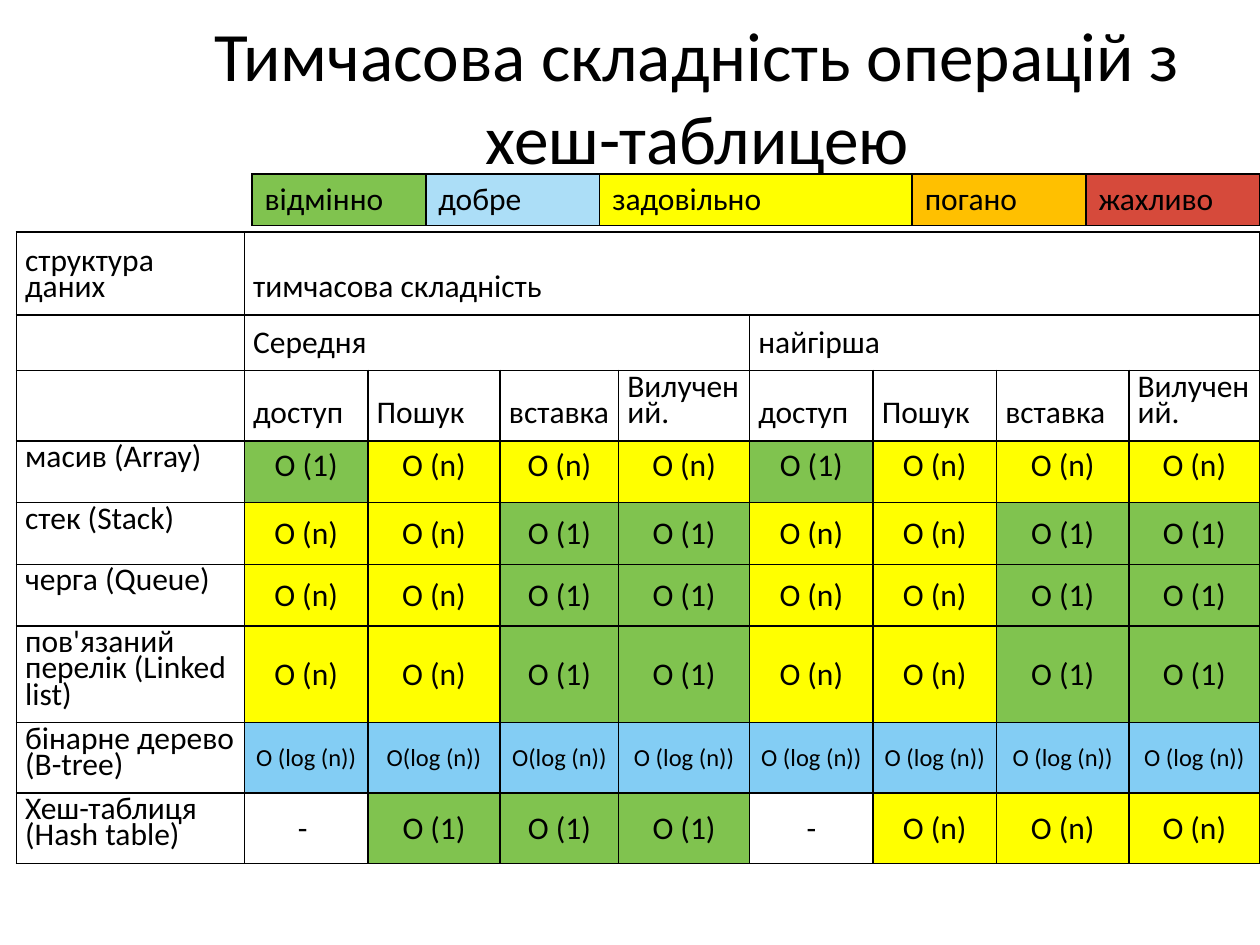
import dataclasses

import lxml.etree
import pptx
import pptx.dml.color
import pptx.enum.text
import pptx.oxml.ns
import pptx.util

Inches = pptx.util.Inches
Anchor = pptx.enum.text.MSO_ANCHOR
Align = pptx.enum.text.PP_ALIGN


@dataclasses.dataclass(frozen=True)
class Theme:
    """Colours, font and type sizes of the slide."""
    font: str = "Calibri"
    ink: str = "000000"
    white: str = "FFFFFF"
    excellent: str = "80C34F"
    good: str = "ACDEF7"
    logarithmic: str = "83CDF4"
    fair: str = "FFFF00"
    bad: str = "FFC000"
    awful: str = "D64A3B"
    title_size: float = 39.6
    body_size: float = 18
    small_size: float = 14
    tight_line: float = 15
    border: float = 1


THEME = Theme()
TITLE = "Тимчасова складність операцій з хеш-таблицею"
LEGEND = [
    ("відмінно", THEME.excellent, 1.38),
    ("добре", THEME.good, 1.38),
    ("задовільно", THEME.fair, 2.48),
    ("погано", THEME.bad, 1.38),
    ("жахливо", THEME.awful, 1.38),
]
OPERATIONS = ["доступ", "Пошук", "вставка", "Вилучений."]
COLUMN_WIDTHS = [1.81, 0.98, 1.05, 0.94, 1.04, 0.98, 0.98, 1.05, 1.04]
ROW_HEIGHTS = [0.66, 0.44, 0.56, 0.49, 0.49, 0.49, 0.76, 0.56, 0.56]
CONSTANT, LINEAR = "O (1)", "O (n)"
LOG, LOG_CLOSE = "O (log (n))", "O(log (n))"
STACK_LIKE = [LINEAR, LINEAR, CONSTANT, CONSTANT] * 2
STRUCTURES = [
    ("масив (Array)", [CONSTANT, LINEAR, LINEAR, LINEAR] * 2),
    ("стек (Stack)", STACK_LIKE),
    ("черга (Queue)", STACK_LIKE),
    ("пов'язаний перелік (Linked list)", STACK_LIKE),
    ("бінарне дерево \n(B-tree)", [LOG, LOG_CLOSE, LOG_CLOSE] + [LOG] * 5),
    ("Хеш-таблиця\n(Hash table)", ["- "] + [CONSTANT] * 3 + ["-"] + [LINEAR] * 3),
]
VALUE_FILLS = {
    CONSTANT: THEME.excellent,
    LINEAR: THEME.fair,
    LOG: THEME.logarithmic,
    LOG_CLOSE: THEME.logarithmic,
}


def set_all(target, values):
    """Set the attributes of target from a dict."""
    for name, value in values.items():
        setattr(target, name, value)


def format_text(frame, size, align=Align.LEFT, line=None):
    """Format every paragraph and run of a text frame."""
    for paragraph in frame.paragraphs:
        paragraph.alignment = align
        if line:
            paragraph.line_spacing = pptx.util.Pt(line)
        for run in paragraph.runs:
            set_all(run.font, {"name": THEME.font, "size": pptx.util.Pt(size)})
            run.font.color.rgb = pptx.dml.color.RGBColor.from_string(THEME.ink)


def add_borders(cell):
    """Draw a thin line on all four sides of a cell."""
    qn = pptx.oxml.ns.qn
    properties = cell._tc.get_or_add_tcPr()
    for side in ("a:lnL", "a:lnR", "a:lnT", "a:lnB"):
        line = lxml.etree.SubElement(
            properties, qn(side), w=str(pptx.util.Pt(THEME.border)))
        fill = lxml.etree.SubElement(line, qn("a:solidFill"))
        lxml.etree.SubElement(fill, qn("a:srgbClr"), val=THEME.ink)


def fill_cell(cell, text, color=None, inset=None, anchor=Anchor.TOP,
              size=THEME.body_size, **text_format):
    """Write one cell with its fill, margins and text format."""
    cell.text = text
    cell.vertical_anchor = anchor
    if inset is not None:
        sides = ("left", "top", "right", "bottom")
        set_all(cell, {f"margin_{side}": Inches(inset) for side in sides})
    if color:
        cell.fill.solid()
        cell.fill.fore_color.rgb = pptx.dml.color.RGBColor.from_string(color)
    else:
        cell.fill.background()
    format_text(cell.text_frame, size, **text_format)


def add_plain_table(slide, left, top, widths, heights):
    """Add a bordered table without banding."""
    table = slide.shapes.add_table(
        len(heights), len(widths), Inches(left), Inches(top),
        Inches(sum(widths)), Inches(sum(heights))).table
    set_all(table, {"first_row": False, "horz_banding": False})
    for column, width in zip(table.columns, widths):
        column.width = Inches(width)
    for row, height in zip(table.rows, heights):
        row.height = Inches(height)
    for cell in table.iter_cells():
        add_borders(cell)
        cell.fill.background()
    return table


def add_title(slide, left, top, width, height):
    """Place and format the title placeholder."""
    title = slide.shapes.title
    box = {"left": left, "top": top, "width": width, "height": height}
    set_all(title, {name: Inches(value) for name, value in box.items()})
    title.text = TITLE
    set_all(title.text_frame, {
        "auto_size": pptx.enum.text.MSO_AUTO_SIZE.NONE,
        "vertical_anchor": Anchor.MIDDLE, "word_wrap": True})
    format_text(title.text_frame, THEME.title_size, Align.CENTER)


def add_complexity_table(slide, left, top):
    """Build the table of complexities by data structure."""
    table = add_plain_table(slide, left, top, COLUMN_WIDTHS, ROW_HEIGHTS)
    for row, first, last in ((0, 1, 8), (1, 1, 4), (1, 5, 8)):
        table.cell(row, first).merge(table.cell(row, last))
    headers = {(0, 0): "структура \nданих", (0, 1): "тимчасова складність",
               (1, 1): "Середня", (1, 5): "найгірша"}
    headers.update({(2, column): name
                    for column, name in enumerate(OPERATIONS * 2, 1)})
    tight = {"inset": 0.07, "line": THEME.tight_line}
    for position, text in headers.items():
        fill_cell(table.cell(*position), text, anchor=Anchor.BOTTOM, **tight)
    for row, (name, values) in enumerate(STRUCTURES, 3):
        fill_cell(table.cell(row, 0), name, **tight)
        spacing = tight if row == 3 else {"inset": 0.08}
        for column, value in enumerate(values, 1):
            size = THEME.small_size if "log" in value else THEME.body_size
            fill_cell(table.cell(row, column), value,
                      VALUE_FILLS.get(value, THEME.white),
                      anchor=Anchor.MIDDLE, size=size,
                      align=Align.CENTER, **spacing)


def add_legend(slide, left, top, height):
    """Build the one-row colour legend."""
    widths = [width for _, _, width in LEGEND]
    table = add_plain_table(slide, left, top, widths, [height])
    for column, (name, color, _) in enumerate(LEGEND):
        fill_cell(table.cell(0, column), name, color)


def main():
    """Build and save the presentation."""
    presentation = pptx.Presentation()
    set_all(presentation, {"slide_width": Inches(10), "slide_height": Inches(7.5)})
    slide = presentation.slides.add_slide(presentation.slide_layouts[5])
    add_title(slide, 1.07, 0, 8.93, 1.51)
    add_complexity_table(slide, 0.13, 1.84)
    add_legend(slide, 2, 1.38, 0.41)
    presentation.save("out.pptx")


main()
